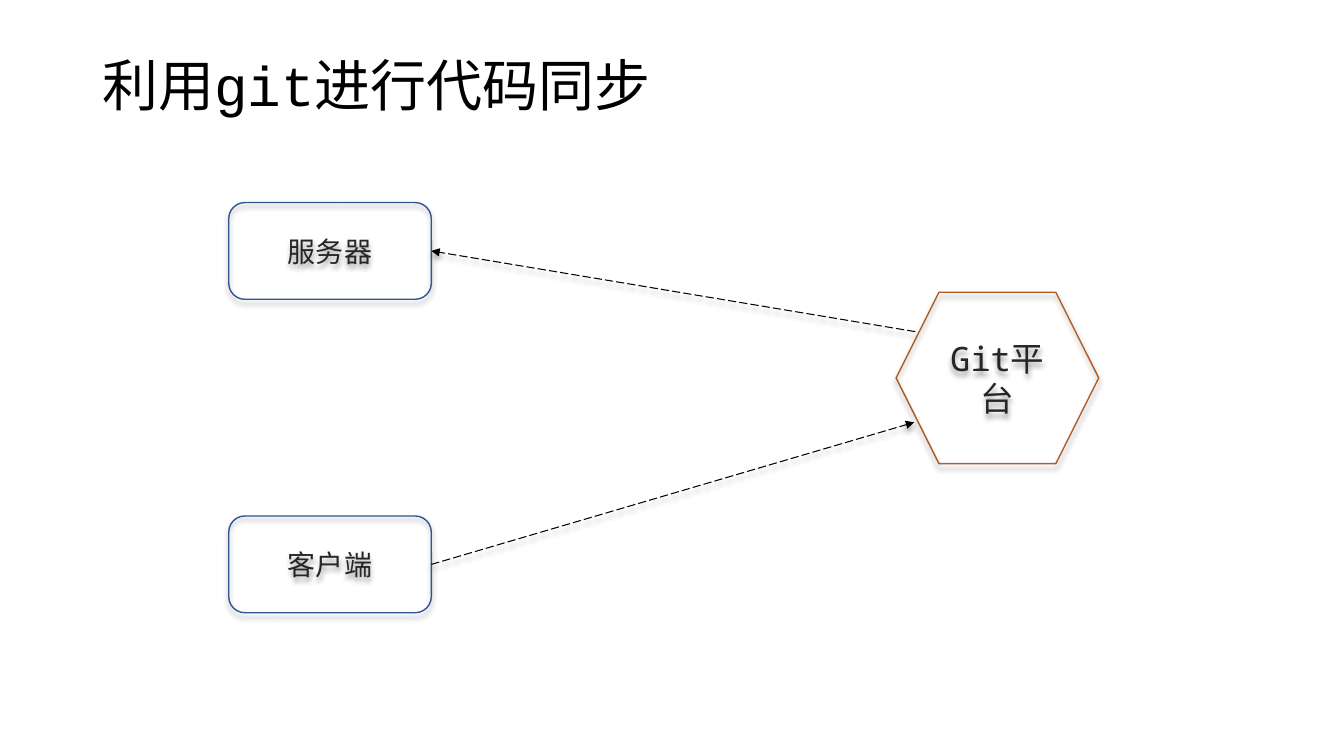
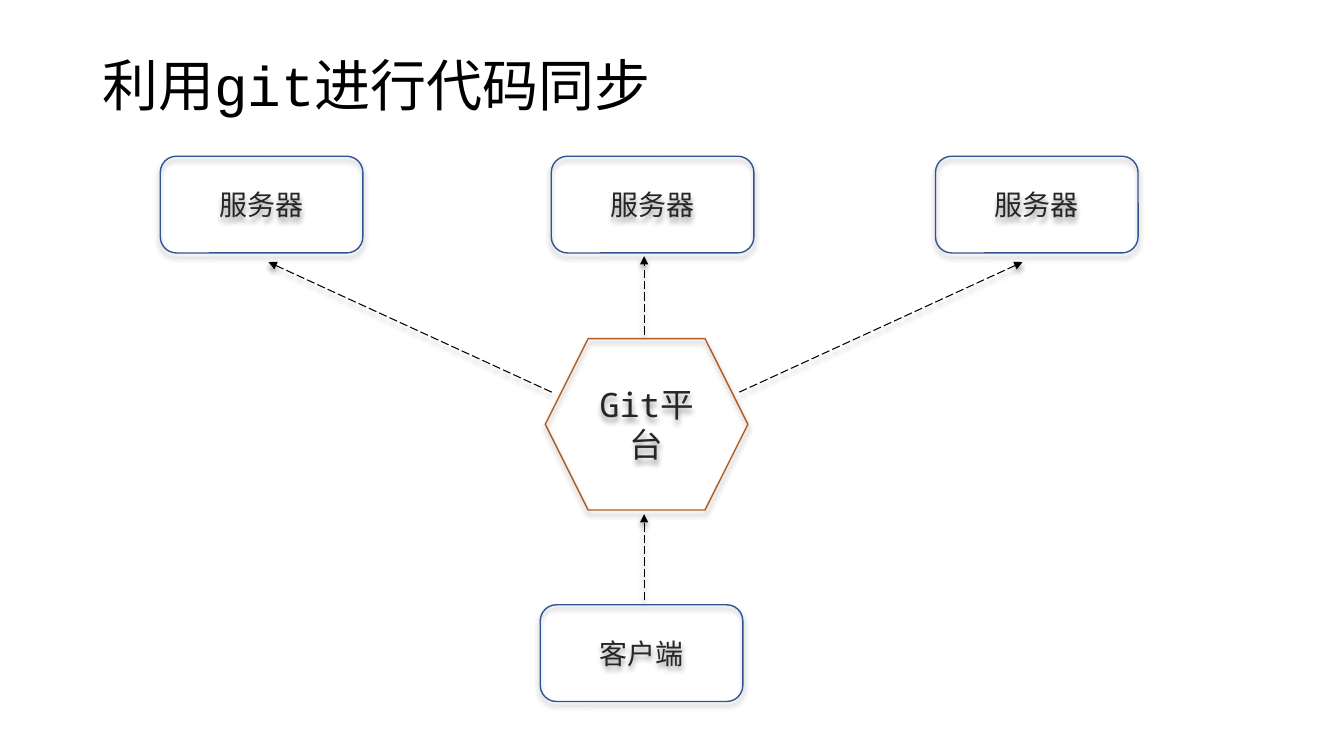
import dataclasses

import lxml.etree
import pptx
import pptx.dml.color
import pptx.enum.dml
import pptx.enum.shapes
import pptx.enum.text
import pptx.oxml
import pptx.oxml.ns
import pptx.util

Pt = pptx.util.Pt
qn = pptx.oxml.ns.qn
MSO = pptx.enum.shapes.MSO_SHAPE
LEFT, RIGHT = 1, 3  # connection sites of a rectangle


@dataclasses.dataclass(frozen=True)
class Theme:
    title_color: str = "000000"
    text: str = "262626"
    machine: str = "325491"
    platform: str = "AF5C24"
    arrow: str = "000000"
    title_font: str = "Courier New"
    body_font: str = "Noto Sans Mono"
    title_size: float = 40
    platform_size: float = 24
    machine_size: float = 20
    outline: float = 1
    arrow_width: float = 0.75


THEME = Theme()
MACHINE_SIZE = (144.7, 69.1)
PLATFORM_SIZE = (144.7, 122.4)

SHADOW = """<a:effectLst xmlns:a="http://schemas.openxmlformats.org/drawingml/2006/main">
  <a:outerShdw blurRad="50800" dist="38100" dir="5400000" algn="t" rotWithShape="0">
    <a:srgbClr val="000000"><a:alpha val="40000"/></a:srgbClr>
  </a:outerShdw>
</a:effectLst>"""


def rgb(color):
    return pptx.dml.color.RGBColor.from_string(color)


def set_line(sp, color, width):
    sp.line.color.rgb = rgb(color)
    sp.line.width = Pt(width)


def add_shadow(sp):
    sp_pr = sp._element.spPr
    for old in sp_pr.findall(qn("a:effectLst")):
        sp_pr.remove(old)
    sp_pr.append(pptx.oxml.parse_xml(SHADOW))


def write(sp, text, size, font, color, align):
    tf = sp.text_frame
    tf.word_wrap = True
    tf.vertical_anchor = pptx.enum.text.MSO_ANCHOR.MIDDLE
    tf.text = text
    p = tf.paragraphs[0]
    p.alignment = align
    r = p.runs[0]
    r.font.size = Pt(size)
    r.font.name = font
    r.font.color.rgb = rgb(color)
    # East Asian characters use the same typeface
    lxml.etree.SubElement(r.font._element, qn("a:ea")).set("typeface", font)
    return p


def add_title(s, text):
    sp = s.shapes.add_textbox(Pt(66), Pt(28.8), Pt(828), Pt(69.1))
    p = write(sp, text, THEME.title_size, THEME.title_font,
              THEME.title_color, pptx.enum.text.PP_ALIGN.LEFT)
    p.line_spacing = 0.9


def add_node(s, kind, x, y, size, text, font_size, color):
    sp = s.shapes.add_shape(kind, Pt(x), Pt(y), *map(Pt, size))
    sp.fill.background()
    set_line(sp, color, THEME.outline)
    add_shadow(sp)
    write(sp, text, font_size, THEME.body_font, THEME.text,
          pptx.enum.text.PP_ALIGN.CENTER)
    return sp


def add_machine(s, x, y, text):
    return add_node(s, MSO.ROUNDED_RECTANGLE, x, y, MACHINE_SIZE, text,
                    THEME.machine_size, THEME.machine)


def add_platform(s, x, y):
    return add_node(s, MSO.HEXAGON, x, y, PLATFORM_SIZE, "Git平台",
                    THEME.platform_size, THEME.platform)


def add_arrow(s, start, end):
    sp = s.shapes.add_connector(pptx.enum.shapes.MSO_CONNECTOR.STRAIGHT,
                                *map(Pt, start + end))
    set_line(sp, THEME.arrow, THEME.arrow_width)
    sp.line.dash_style = pptx.enum.dml.MSO_LINE.LONG_DASH
    ln = sp.line._get_or_add_ln()
    lxml.etree.SubElement(ln, qn("a:tailEnd")).set("type", "triangle")
    add_shadow(sp)
    return sp


def add_slide(prs):
    s = prs.slides.add_slide(prs.slide_layouts[6])
    add_title(s, "利用git进行代码同步")
    return s


def one_server(prs):
    s = add_slide(prs)
    # Machines and platform
    add_platform(s, 640.1, 208.8)
    client = add_machine(s, 163.4, 368.6, "客户端")
    server = add_machine(s, 163.4, 144.7, "服务器")
    # Push and pull
    push = add_arrow(s, (309.6, 403.2), (653, 301.7))
    push.begin_connect(client, RIGHT)
    pull = add_arrow(s, (653.8, 236.9), (310.3, 177.8))
    pull.end_connect(server, RIGHT)


def many_servers(prs):
    s = add_slide(prs)
    # Machines and platform
    add_platform(s, 389.5, 241.9)
    add_machine(s, 385.9, 432, "客户端")
    for x in (114.5, 393.8, 668.2):
        add_machine(s, x, 111.6, "服务器")
    # Push from the client, then pull on every server
    axis = 460.1
    add_arrow(s, (axis, 428.4), (axis, 367.2))
    add_arrow(s, (axis, 239), (axis, 182.9))
    for side in (-1, 1):
        add_arrow(s, (axis + 1 + side * 67, 280.1),
                  (axis + 1 + side * 269.3, 187.2))


def main():
    prs = pptx.Presentation()
    prs.slide_width, prs.slide_height = Pt(960), Pt(540)
    one_server(prs)
    many_servers(prs)
    prs.save("out.pptx")


if __name__ == "__main__":
    main()
